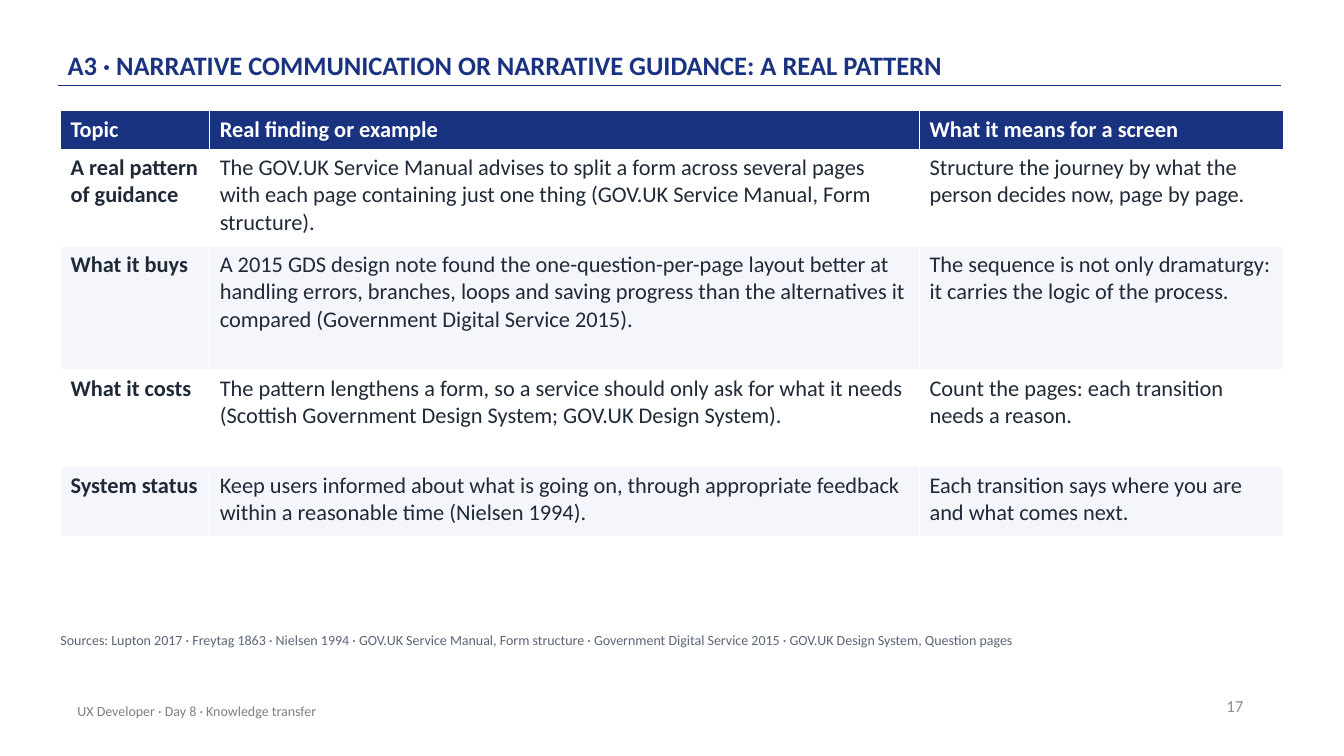
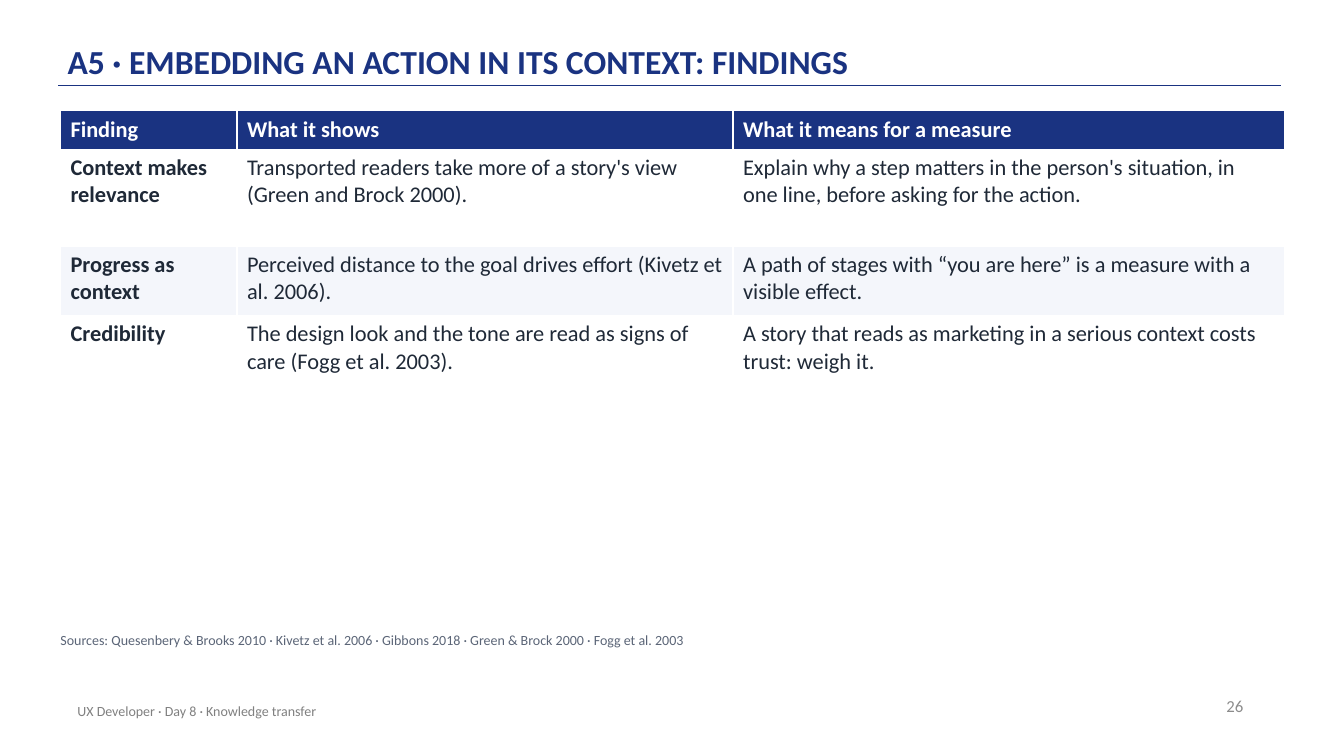
from collections import namedtuple
from dataclasses import dataclass

from lxml.etree import SubElement
from pptx import Presentation
from pptx.dml.color import RGBColor
from pptx.enum.shapes import MSO_CONNECTOR
from pptx.enum.text import MSO_ANCHOR, PP_ALIGN
from pptx.oxml.ns import qn
from pptx.util import Inches, Pt


@dataclass(frozen=True)
class Theme:
    font: str = "Calibri"
    navy: str = "1A3381"
    ink: str = "1F2937"
    white: str = "FFFFFF"
    band: str = "F4F6FB"
    source_grey: str = "5B6577"
    footer_grey: str = "808080"
    number_grey: str = "8C8C8C"
    table_size: int = 16
    number_size: int = 12
    small_size: int = 10


THEME = Theme()
Box = namedtuple("Box", "left top width height")

# Regions shared by both slides, in inches
TITLE_BOX = Box(0.67, 0.12, 11, 0.72)
RULE_BOX = Box(0.58, 0.85, 12.13, 0)
TABLE_BOX = Box(0.6, 1.1, 12.13, 0)
SOURCES_BOX = Box(0.6, 6.27, 12.1, 0.3)
FOOTER_BOX = Box(0.67, 6.85, 6.7, 0.4)
NUMBER_BOX = Box(9.43, 6.8, 3, 0.4)
FOOTER = "UX Developer · Day 8 · Knowledge transfer"

PAGES = [
    dict(
        title="A3 · NARRATIVE COMMUNICATION OR NARRATIVE GUIDANCE: A REAL PATTERN",
        title_size=19,
        number=17,
        columns=[1.48, 7.04, 3.61],
        row_heights=[0.38, 0.96, 1.23, 0.96, 0.69],
        rows=[
            ("Topic", "Real finding or example", "What it means for a screen"),
            ("A real pattern of guidance",
             "The GOV.UK Service Manual advises to split a form across several pages "
             "with each page containing just one thing (GOV.UK Service Manual, Form structure).",
             "Structure the journey by what the person decides now, page by page."),
            ("What it buys",
             "A 2015 GDS design note found the one-question-per-page layout better at "
             "handling errors, branches, loops and saving progress than the alternatives "
             "it compared (Government Digital Service 2015).",
             "The sequence is not only dramaturgy: it carries the logic of the process."),
            ("What it costs",
             "The pattern lengthens a form, so a service should only ask for what it needs "
             "(Scottish Government Design System; GOV.UK Design System).",
             "Count the pages: each transition needs a reason."),
            ("System status",
             "Keep users informed about what is going on, through appropriate feedback "
             "within a reasonable time (Nielsen 1994).",
             "Each transition says where you are and what comes next."),
        ],
        sources="Sources: Lupton 2017 · Freytag 1863 · Nielsen 1994 · GOV.UK Service Manual, "
                "Form structure · Government Digital Service 2015 · GOV.UK Design System, "
                "Question pages",
    ),
    dict(
        title="A5 · EMBEDDING AN ACTION IN ITS CONTEXT: FINDINGS",
        title_size=24,
        number=26,
        columns=[1.75, 4.92, 5.47],
        row_heights=[0.38, 0.96, 0.69, 0.69],
        rows=[
            ("Finding", "What it shows", "What it means for a measure"),
            ("Context makes relevance",
             "Transported readers take more of a story's view (Green and Brock 2000).",
             "Explain why a step matters in the person's situation, in one line, "
             "before asking for the action."),
            ("Progress as context",
             "Perceived distance to the goal drives effort (Kivetz et al. 2006).",
             "A path of stages with “you are here” is a measure with a visible effect."),
            ("Credibility",
             "The design look and the tone are read as signs of care (Fogg et al. 2003).",
             "A story that reads as marketing in a serious context costs trust: weigh it."),
        ],
        sources="Sources: Quesenbery & Brooks 2010 · Kivetz et al. 2006 · Gibbons 2018 · "
                "Green & Brock 2000 · Fogg et al. 2003",
    ),
]


def style_text(paragraph, size, color, bold=False):
    for run in paragraph.runs:
        run.font.name = THEME.font
        run.font.size = Pt(size)
        run.font.bold = bold
        run.font.color.rgb = RGBColor.from_string(color)


def add_label(slide, box, text, size, color, bold=False,
              anchor=MSO_ANCHOR.MIDDLE, insets=(0.1, 0.05)):
    """Place one line of text and return its paragraph."""
    label = slide.shapes.add_textbox(*map(Inches, box))
    frame = label.text_frame
    frame.word_wrap = True
    frame.vertical_anchor = anchor
    frame.margin_left = frame.margin_right = Inches(insets[0])
    frame.margin_top = frame.margin_bottom = Inches(insets[1])
    frame.text = text
    paragraph = frame.paragraphs[0]
    style_text(paragraph, size, color, bold)
    return paragraph


def add_title(slide, box, text, size):
    title = add_label(slide, box, text, size, THEME.navy, bold=True,
                      anchor=MSO_ANCHOR.BOTTOM, insets=(0, 0.03))
    title.line_spacing = 0.9


def add_rule(slide, box):
    rule = slide.shapes.add_connector(
        MSO_CONNECTOR.STRAIGHT, Inches(box.left), Inches(box.top),
        Inches(box.left + box.width), Inches(box.top + box.height))
    rule.line.color.rgb = RGBColor.from_string(THEME.navy)
    rule.line.width = Pt(1)
    SubElement(rule._element.spPr, qn("a:effectLst"))


def add_findings(slide, box, rows, columns, row_heights):
    """White gridlines come from the default table style."""
    findings = slide.shapes.add_table(
        len(rows), len(columns), Inches(box.left), Inches(box.top),
        Inches(box.width), Inches(sum(row_heights))).table
    for column, width in zip(findings.columns, columns):
        column.width = Inches(width)
    for r, (texts, height) in enumerate(zip(rows, row_heights)):
        findings.rows[r].height = Inches(height)
        header = r == 0
        fill = THEME.navy if header else THEME.white if r % 2 else THEME.band
        ink = THEME.white if header else THEME.ink
        for c, text in enumerate(texts):
            cell = findings.cell(r, c)
            cell.fill.solid()
            cell.fill.fore_color.rgb = RGBColor.from_string(fill)
            cell.text_frame.text = text
            style_text(cell.text_frame.paragraphs[0], THEME.table_size, ink,
                       bold=header or c == 0)


def add_sources(slide, box, text):
    sources = add_label(slide, box, text, THEME.small_size, THEME.source_grey,
                        anchor=MSO_ANCHOR.TOP, insets=(0, 0))
    sources.space_after = Pt(6)


def add_footer(slide, footer_box, number_box, number):
    page_number = add_label(slide, number_box, str(number),
                            THEME.number_size, THEME.number_grey)
    page_number.alignment = PP_ALIGN.RIGHT
    add_label(slide, footer_box, FOOTER, THEME.small_size, THEME.footer_grey)


def add_findings_slide(deck, page):
    slide = deck.slides.add_slide(deck.slide_layouts[6])
    # Heading
    add_rule(slide, RULE_BOX)
    add_title(slide, TITLE_BOX, page["title"], page["title_size"])
    # Footer
    add_footer(slide, FOOTER_BOX, NUMBER_BOX, page["number"])
    # Body
    add_findings(slide, TABLE_BOX, page["rows"], page["columns"], page["row_heights"])
    add_sources(slide, SOURCES_BOX, page["sources"])


def main():
    deck = Presentation()
    deck.slide_width = Inches(13.33)
    deck.slide_height = Inches(7.5)
    for page in PAGES:
        add_findings_slide(deck, page)
    deck.save("out.pptx")


if __name__ == "__main__":
    main()
